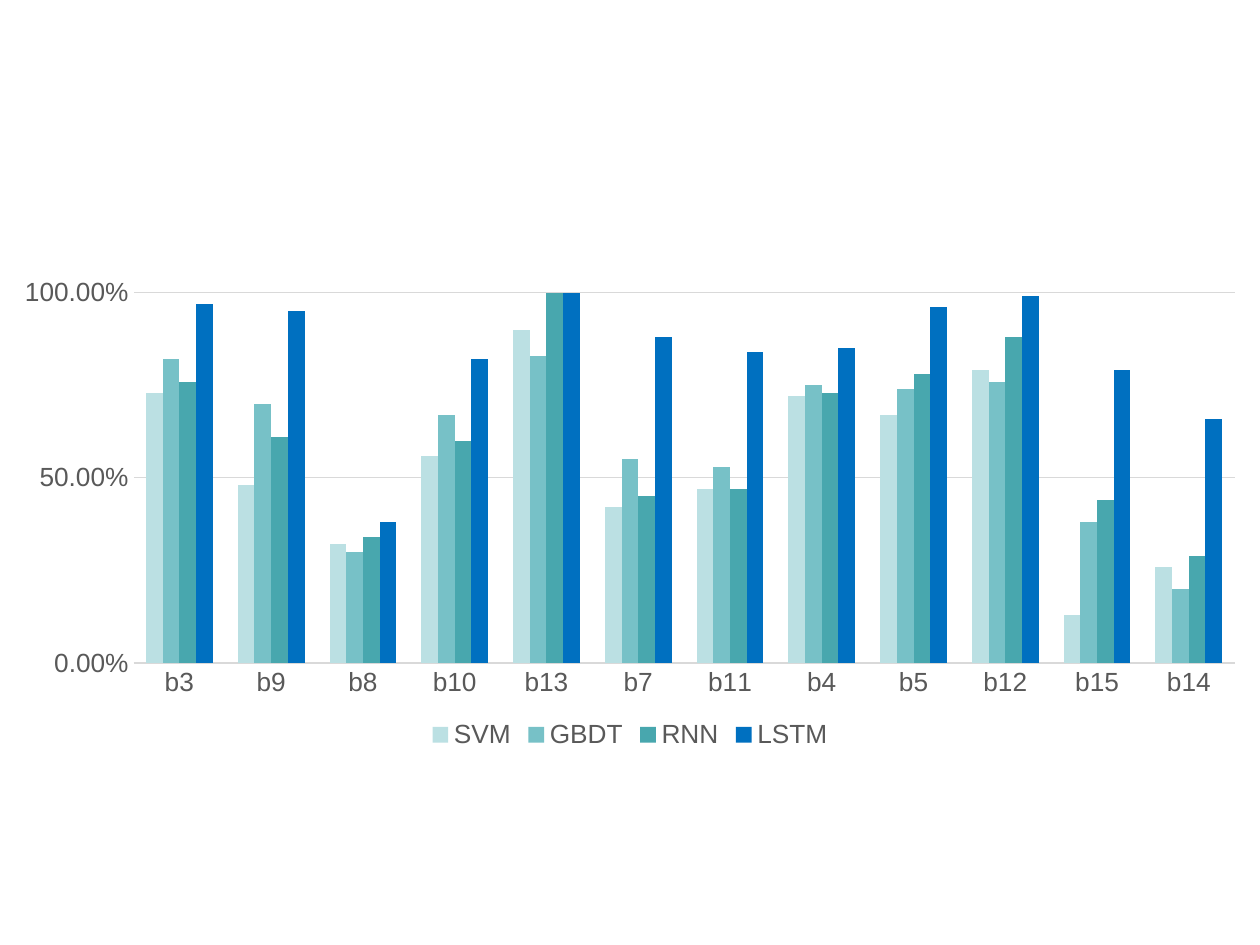
from lxml.etree import SubElement
from pptx import Presentation
from pptx.chart.data import CategoryChartData
from pptx.dml.color import RGBColor
from pptx.enum.chart import XL_CHART_TYPE as ChartType
from pptx.enum.chart import XL_LEGEND_POSITION as LegendPos
from pptx.enum.chart import XL_TICK_MARK as TickMark
from pptx.oxml.ns import qn
from pptx.util import Cm, Pt

FONT = "Arial"
TEXT, GRID = "595959", "D9D9D9"
BENCHMARKS = ["b3", "b9", "b8", "b10", "b13", "b7",
              "b11", "b4", "b5", "b12", "b15", "b14"]
MODELS = [
    ("SVM", "BBE0E3",
     [0.73, 0.48, 0.32, 0.56, 0.9, 0.42, 0.47, 0.72, 0.67, 0.79, 0.13, 0.26]),
    ("GBDT", "77C1C7",
     [0.82, 0.7, 0.3, 0.67, 0.83, 0.55, 0.53, 0.75, 0.74, 0.76, 0.38, 0.2]),
    ("RNN", "48A7AE",
     [0.76, 0.61, 0.34, 0.6, 1, 0.45, 0.47, 0.73, 0.78, 0.88, 0.44, 0.29]),
    ("LSTM", "0070C0",
     [0.97, 0.95, 0.38, 0.82, 1, 0.88, 0.84, 0.85, 0.96, 0.99, 0.79, 0.66]),
]


def rgb(color):
    return RGBColor.from_string(color)


def style_font(font, size, color):
    font.name, font.size = FONT, Pt(size)
    font.color.rgb = rgb(color)


def style_line(line, color):
    line.color.rgb = rgb(color)
    line.width = Pt(0.75)


def set_plot_area(chart, **box):
    """Fix the inner plot area as fractions of the chart's width and height."""
    plot_area = chart._chartSpace.chart.plotArea
    layout = plot_area.find(qn("c:layout"))
    if layout is None:
        layout = SubElement(plot_area, qn("c:layout"))
        plot_area.insert(0, layout)
    manual = SubElement(layout, qn("c:manualLayout"))
    settings = {"layoutTarget": "inner", "xMode": "edge", "yMode": "edge", **box}
    for name, value in settings.items():
        SubElement(manual, qn(f"c:{name}")).set("val", str(value))


def style_axes(chart):
    cat, val = chart.category_axis, chart.value_axis
    for axis in (cat, val):
        axis.major_tick_mark = axis.minor_tick_mark = TickMark.NONE
        style_font(axis.tick_labels.font, 15, TEXT)
    style_line(cat.format.line, GRID)
    val.format.line.fill.background()
    val.minimum_scale, val.maximum_scale, val.major_unit = 0, 1, 0.5
    val.has_major_gridlines = True
    style_line(val.major_gridlines.format.line, GRID)
    val.tick_labels.number_format = "0.00%"
    val.tick_labels.number_format_is_linked = False


def add_accuracy_chart(slide, left, top, width, height):
    data = CategoryChartData(number_format="0.00%")
    data.categories = BENCHMARKS
    for name, _, values in MODELS:
        data.add_series(name, values)
    chart = slide.shapes.add_chart(
        ChartType.COLUMN_CLUSTERED, left, top, width, height, data).chart
    chart.has_title = False
    style_font(chart.font, 10, "000000")

    plot = chart.plots[0]
    plot.gap_width, plot.overlap = 150, 0
    plot.vary_by_categories = False
    for series, (_, color, _) in zip(plot.series, MODELS):
        series.format.fill.solid()
        series.format.fill.fore_color.rgb = rgb(color)

    style_axes(chart)
    chart.has_legend = True
    chart.legend.position = LegendPos.BOTTOM
    chart.legend.include_in_layout = False
    style_font(chart.legend.font, 15, TEXT)
    set_plot_area(chart, x=0.106, y=0.05, w=0.874, h=0.762)


def main():
    prs = Presentation()
    prs.slide_width, prs.slide_height = Cm(25.4), Cm(19.05)
    slide = prs.slides.add_slide(prs.slide_layouts[6])
    add_accuracy_chart(slide, Cm(0), Cm(5.41), prs.slide_width, Cm(9.8))
    prs.save("out.pptx")


if __name__ == "__main__":
    main()
